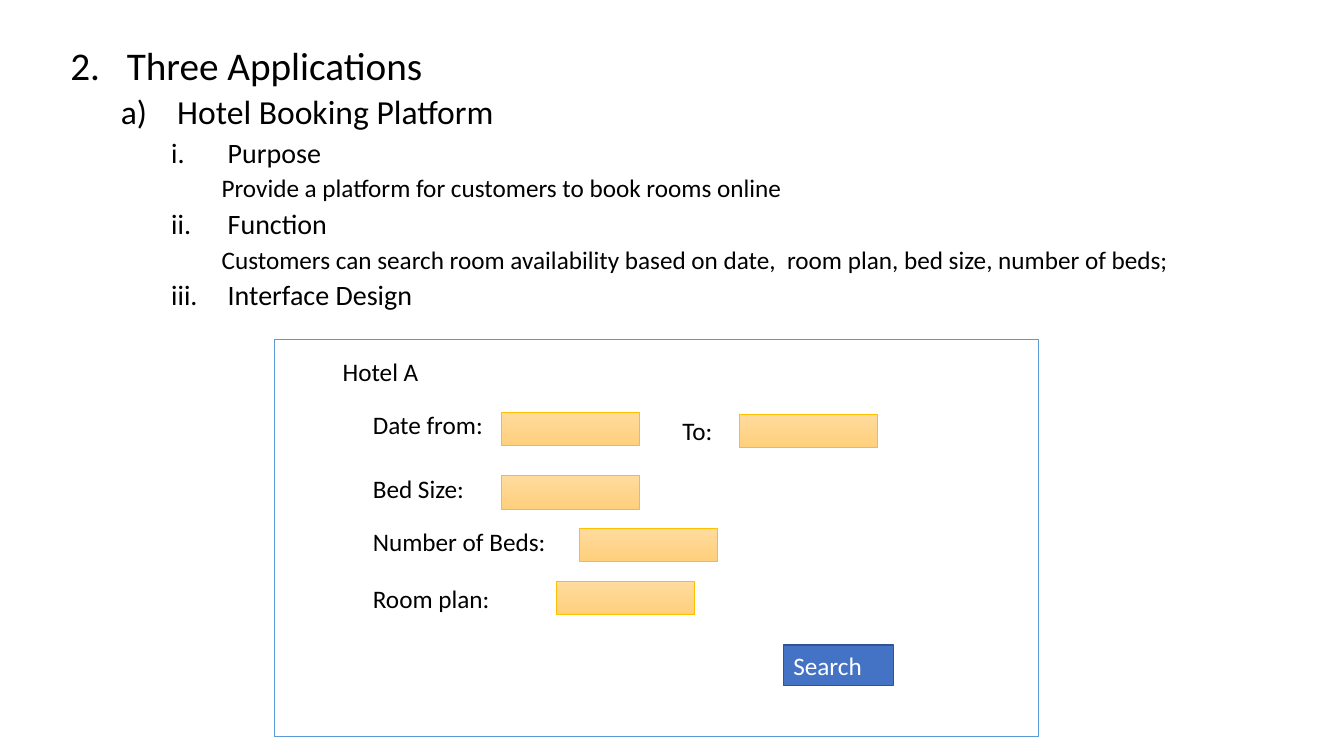
from dataclasses import dataclass

from pptx import Presentation
from pptx.dml.color import RGBColor
from pptx.enum import shapes, text
from pptx.oxml import parse_xml
from pptx.oxml.ns import nsdecls
from pptx.util import Inches, Pt


@dataclass(frozen=True)
class Theme:
    """Font, type sizes and colours of the slide."""
    font: str = "Calibri"
    level_sizes: tuple = (28, 24, 20, 18)
    form_size: int = 18
    ink: str = "000000"
    paper: str = "FFFFFF"
    frame_line: str = "5B9BD5"
    field_top: str = "FFDB9E"
    field_bottom: str = "FFD07C"
    field_line: str = "FFC000"
    button: str = "4472C4"
    button_line: str = "325491"


THEME = Theme()

# Per level: left margin, hanging indent, numbering scheme, first number
LEVELS = (
    (0.56, -0.56, "arabicPeriod", 2),
    (1.06, -0.56, "alphaLcParenR", 1),
    (1.56, -0.56, "romanLcPeriod", 1),
    (1.5, 0, None, None),
)

OUTLINE = (
    (0, "Three Applications"),
    (1, "Hotel Booking Platform"),
    (2, "Purpose"),
    (3, "Provide a platform for customers to book rooms online"),
    (2, "Function"),
    (3, "Customers can search room availability based on date,  room plan, "
        "bed size, number of beds;"),
    (2, "Interface Design"),
)

# Label, its left, top and width, then its field's left and top, in the form
FORM_FIELDS = (
    ("Date from:", 0.88, 0.64, 1.37, 2.25, 0.72),
    ("To:", 3.95, 0.7, 1.37, 4.61, 0.74),
    ("Bed Size:", 0.88, 1.28, 1.37, 2.25, 1.35),
    ("Number of Beds:", 0.88, 1.8, 1.92, 3.03, 1.87),
    ("Room plan:", 0.88, 2.37, 1.67, 2.8, 2.4),
)
FIELD_SIZE = (1.37, 0.33)
LABEL_HEIGHT = 0.4


def rgb(code):
    """Turn a hex code into a colour."""
    return RGBColor.from_string(code)


def style_runs(para, size, color):
    """Give every run of a paragraph its font, size and colour."""
    for span in para.runs:
        span.font.name = THEME.font
        span.font.size = Pt(size)
        span.font.color.rgb = rgb(color)


def set_level(para, level):
    """Set the indents and numbering of an outline level."""
    margin, indent, scheme, start = LEVELS[level]
    para.level = level
    para.line_spacing = 0.9
    para.space_before = Pt(5 if level else 10)
    props = para._p.get_or_add_pPr()
    props.set("marL", str(Inches(margin)))
    props.set("indent", str(Inches(indent)))
    if scheme:
        first = f' startAt="{start}"' if start > 1 else ""
        bullet = f'<a:buAutoNum {nsdecls("a")} type="{scheme}"{first}/>'
    else:
        bullet = f'<a:buNone {nsdecls("a")}/>'
    props.append(parse_xml(bullet))


def add_outline(page, left, top, width, height):
    """Write the numbered outline into the given box."""
    box = page.shapes.add_textbox(
        Inches(left), Inches(top), Inches(width), Inches(height))
    frame = box.text_frame
    frame.word_wrap = True
    frame.text = "\n".join(line for _, line in OUTLINE)
    for para, (level, _) in zip(frame.paragraphs, OUTLINE):
        set_level(para, level)
        style_runs(para, THEME.level_sizes[level], THEME.ink)


def add_label(group, words, left, top, width):
    """Add a one-line form label."""
    box = group.shapes.add_textbox(
        Inches(left), Inches(top), Inches(width), Inches(LABEL_HEIGHT))
    box.text_frame.word_wrap = True
    box.text_frame.text = words
    style_runs(box.text_frame.paragraphs[0], THEME.form_size, THEME.ink)


def add_panel(group, left, top, width, height, line, weight, fill=None):
    """Add an outlined rectangle, with a plain fill if one is given."""
    panel = group.shapes.add_shape(
        shapes.MSO_SHAPE.RECTANGLE,
        Inches(left), Inches(top), Inches(width), Inches(height))
    panel.shadow.inherit = False
    panel.line.color.rgb = rgb(line)
    panel.line.width = Pt(weight)
    if fill:
        panel.fill.solid()
        panel.fill.fore_color.rgb = rgb(fill)
    return panel


def add_field(group, left, top):
    """Add an input field with a vertical gradient."""
    field = add_panel(group, left, top, *FIELD_SIZE, THEME.field_line, 0.5)
    field.fill.gradient()
    field.fill.gradient_angle = 270
    stops = field.fill.gradient_stops
    for stop, color in zip(stops, (THEME.field_top, THEME.field_bottom)):
        stop.color.rgb = rgb(color)


def add_button(group, words, left, top, width, height):
    """Add a filled button with left-aligned text."""
    button = add_panel(group, left, top, width, height,
                       THEME.button_line, 1, THEME.button)
    frame = button.text_frame
    frame.word_wrap = True
    frame.vertical_anchor = text.MSO_ANCHOR.MIDDLE
    frame.text = words
    frame.paragraphs[0].alignment = text.PP_ALIGN.LEFT
    style_runs(frame.paragraphs[0], THEME.form_size, THEME.paper)


def add_booking_form(page, left, top, width, height):
    """Draw the booking form as one group in the given box."""
    group = page.shapes.add_group_shape()
    add_panel(group, left, top, width, height,
              THEME.frame_line, 1, THEME.paper)
    add_label(group, "Hotel A", left + 0.58, top + 0.12, 1.54)
    for words, label_x, label_y, label_width, field_x, field_y in FORM_FIELDS:
        add_label(group, words, left + label_x, top + label_y, label_width)
        add_field(group, left + field_x, top + field_y)
    add_button(group, "Search", left + 5.05, top + 3.03, 1.09, 0.4)


def main():
    """Build and save the one-slide deck."""
    deck = Presentation()
    deck.slide_width, deck.slide_height = Inches(13.33), Inches(7.5)
    page = deck.slides.add_slide(deck.slide_layouts[6])
    add_outline(page, 0.6, 0.41, 11.5, 4.76)
    add_booking_form(page, 2.72, 3.37, 7.58, 3.94)
    deck.save("out.pptx")


main()
